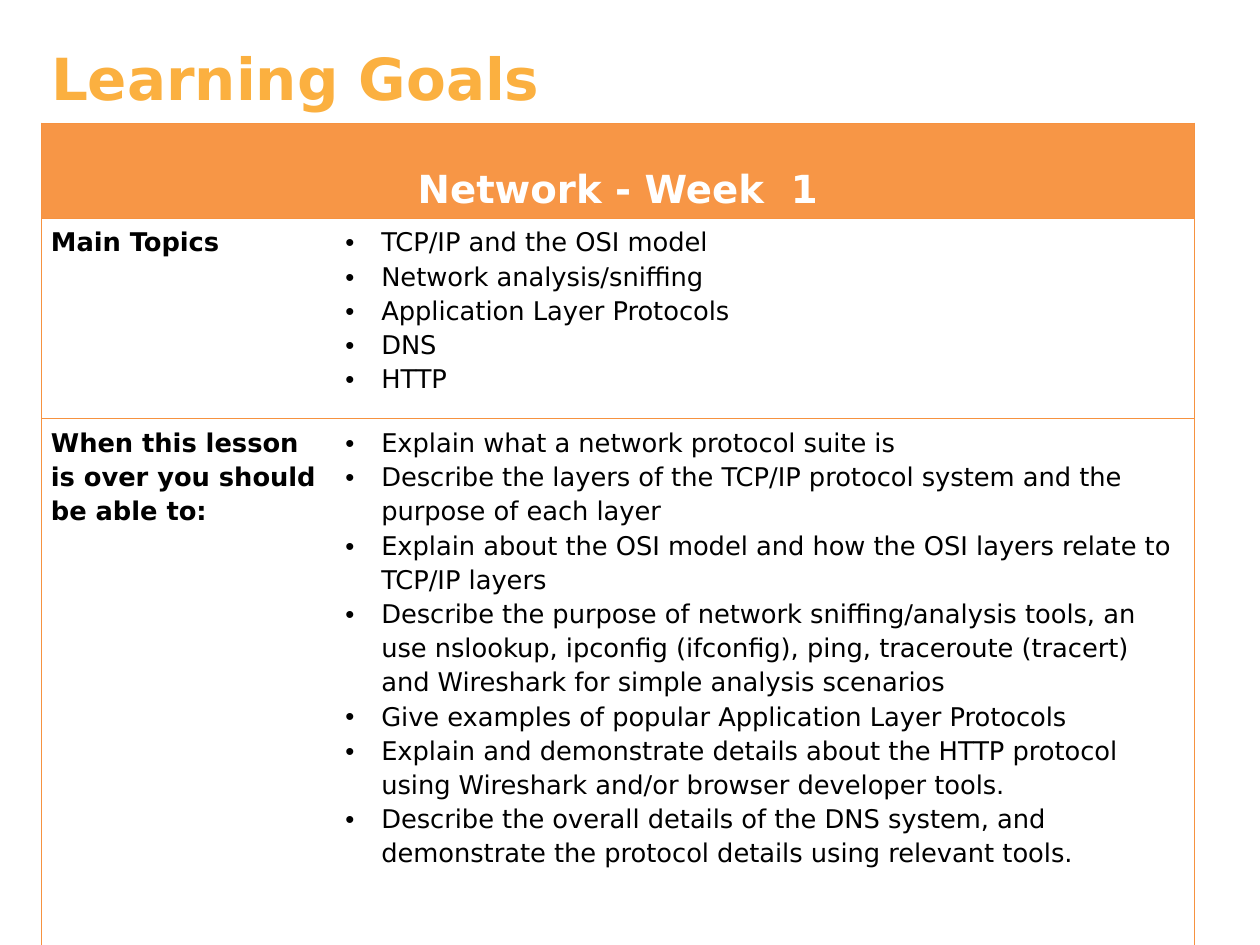
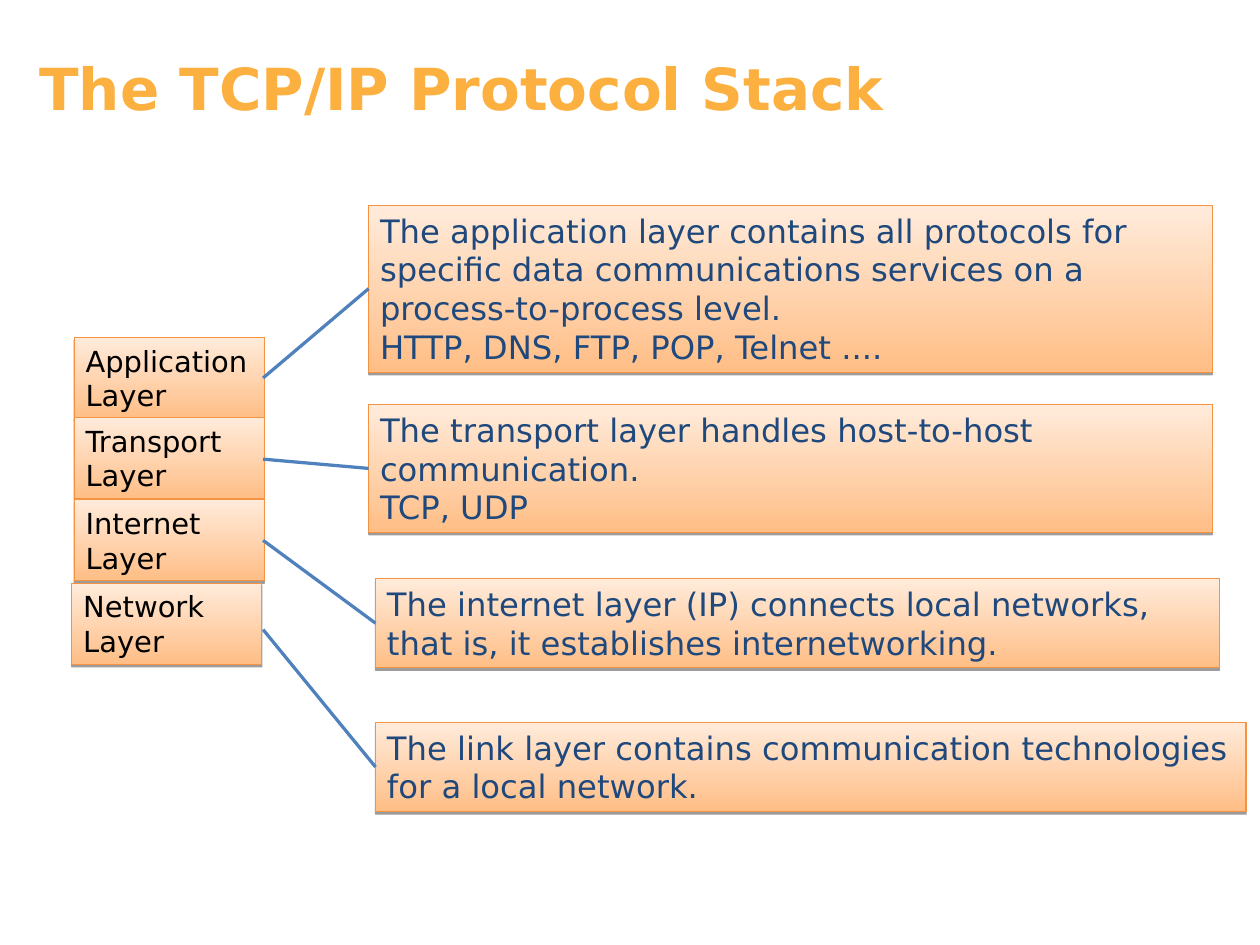
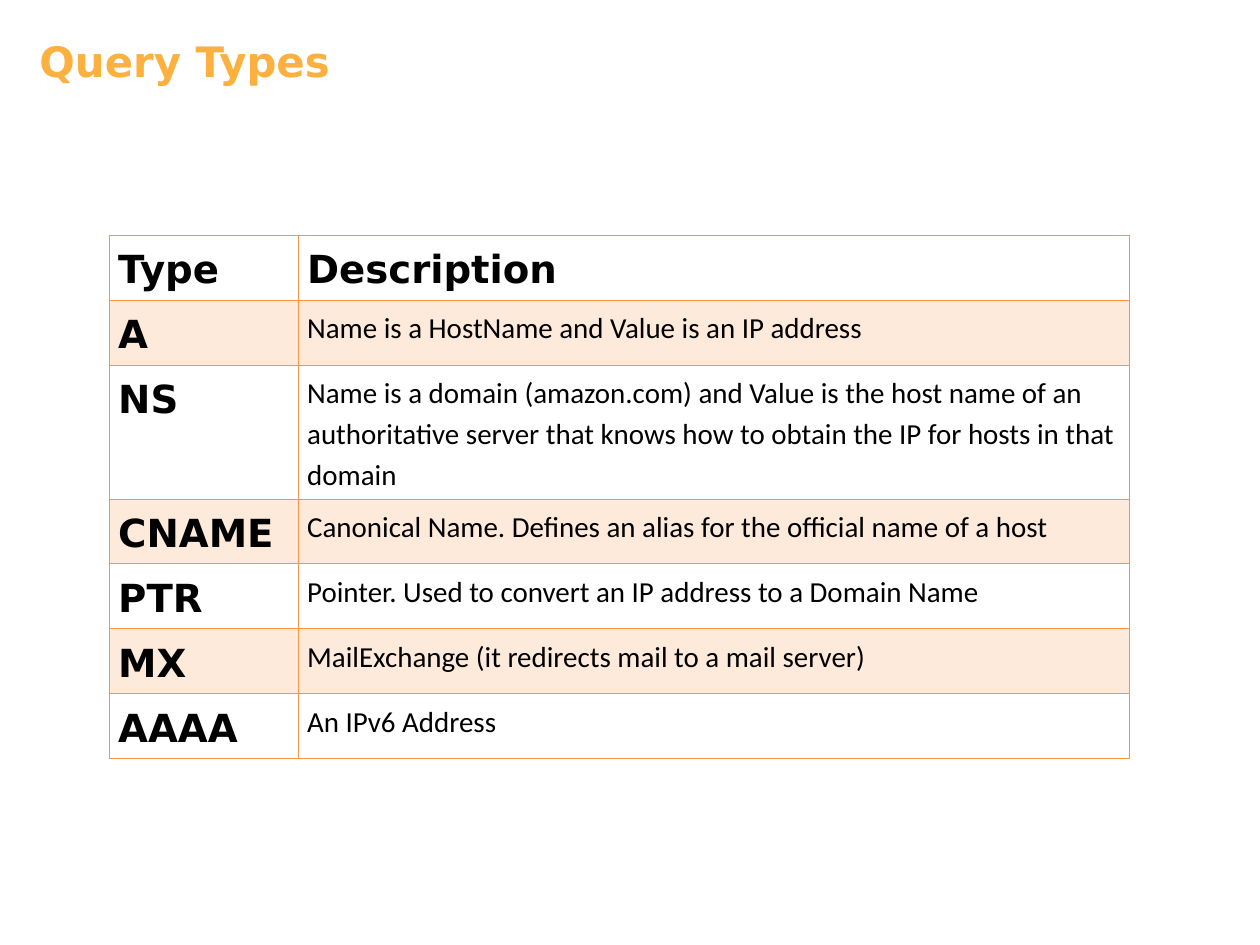
from lxml import etree
from pptx import Presentation
from pptx.dml.color import RGBColor
from pptx.enum.shapes import MSO_CONNECTOR, MSO_SHAPE
from pptx.enum.text import MSO_ANCHOR, MSO_AUTO_SIZE, PP_ALIGN
from pptx.oxml.ns import qn
from pptx.util import Inches, Pt

RECTANGLE = MSO_SHAPE.RECTANGLE
STRAIGHT = MSO_CONNECTOR.STRAIGHT
TOP, MIDDLE, BOTTOM = MSO_ANCHOR.TOP, MSO_ANCHOR.MIDDLE, MSO_ANCHOR.BOTTOM
LEFT, CENTER = PP_ALIGN.LEFT, PP_ALIGN.CENTER
NO_AUTO_SIZE = MSO_AUTO_SIZE.NONE
TITLE_ONLY = 5

COLORS = {
    "title": "FBB040",
    "header": "F79646",
    "band": "FDEADA",
    "outline": "F69240",
    "gradient_dark": "FFBE86",
    "gradient_light": "FFEBDB",
    "connector": "4F81BD",
    "description": "1F497D",
    "text": "000000",
    "white": "FFFFFF",
}
MAIN_FONT = "DejaVu Sans"
TABLE_FONT = "Calibri"

MAIN_TOPICS = [
    "TCP/IP and the OSI model",
    "Network analysis/sniffing",
    "Application Layer Protocols",
    "DNS",
    "HTTP",
]
ABILITIES = [
    "Explain what a network protocol suite is",
    "Describe the layers of the TCP/IP protocol system and the purpose of each layer",
    "Explain about the OSI model and how the OSI layers relate to TCP/IP layers",
    "Describe the purpose of network sniffing/analysis tools, an use nslookup, ipconfig (ifconfig), "
    "ping, traceroute (tracert) and Wireshark for simple analysis scenarios",
    "Give examples of popular Application Layer Protocols",
    "Explain and demonstrate details about the HTTP protocol using Wireshark and/or browser developer tools.",
    "Describe the overall details of the DNS system, and demonstrate the protocol details using relevant tools.",
]
LAYERS = [
    ("Application Layer", (0.64, 2.91, 1.64, 0.7)),
    ("Transport\nLayer", (0.64, 3.6, 1.64, 0.7)),
    ("Internet\nLayer", (0.64, 4.31, 1.64, 0.7)),
    ("Network Layer", (0.62, 5.03, 1.64, 0.7)),
]
DESCRIPTIONS = [
    ("The application layer contains all protocols for specific data communications services "
     "on a process-to-process level.\nHTTP, DNS, FTP, POP, Telnet ....", (3.18, 1.77, 7.28, 1.44), 3.26),
    ("The transport layer handles host-to-host communication.\nTCP, UDP", (3.18, 3.49, 7.28, 1.1), 3.96),
    ("The internet layer (IP) connects local networks, that is, it establishes internetworking.",
     (3.24, 4.99, 7.28, 0.77), 4.66),
    ("The link layer contains communication technologies for a local network.",
     (3.24, 6.23, 7.51, 0.77), 5.43),
]
CONNECTOR_START = 2.27
QUERY_TYPES = [
    ("Type", "Description"),
    ("A", "Name is a HostName and Value is an IP address"),
    ("NS", "Name is a domain (amazon.com) and Value is the host name of an authoritative server "
           "that knows how to obtain the IP for hosts in that domain"),
    ("CNAME", "Canonical Name. Defines an alias for the official name of a host"),
    ("PTR", "Pointer. Used to convert an IP address to a Domain Name"),
    ("MX", "MailExchange (it redirects mail to a mail server)"),
    ("AAAA", "An IPv6 Address"),
]


def color(name):
    return RGBColor.from_string(COLORS[name])


def inches(box):
    return [Inches(value) for value in box]


def write_text(text_frame, text, size, color_name="text", bold=False,
               font=MAIN_FONT, align=LEFT, line_spacing=None):
    text_frame.text = text
    for paragraph in text_frame.paragraphs:
        paragraph.alignment = align
        paragraph.line_spacing = line_spacing
        for run in paragraph.runs:
            run.font.name = font
            run.font.size = Pt(size)
            run.font.bold = bold
            run.font.color.rgb = color(color_name)


def add_titled_slide(presentation, title, box, size=36):
    slide = presentation.slides.add_slide(presentation.slide_layouts[TITLE_ONLY])
    shape = slide.shapes.title
    shape.left, shape.top, shape.width, shape.height = inches(box)
    text_frame = shape.text_frame
    text_frame.word_wrap = True
    text_frame.auto_size = NO_AUTO_SIZE
    text_frame.vertical_anchor = TOP
    write_text(text_frame, title, size, "title", bold=True)
    return slide


def add_bullets(text_frame):
    for paragraph in text_frame.paragraphs:
        properties = paragraph._p.get_or_add_pPr()
        properties.set("marL", str(Inches(0.31)))
        properties.set("indent", str(-Inches(0.31)))
        etree.SubElement(properties, qn("a:buFont"), typeface="Arial")
        etree.SubElement(properties, qn("a:buChar"), char="•")


def set_borders(cell, color_name, widths):
    properties = cell._tc.get_or_add_tcPr()
    for side, width in zip("LRTB", widths):
        line = etree.SubElement(properties, qn(f"a:ln{side}"), w=str(Pt(width)))
        if width:
            fill = etree.SubElement(line, qn("a:solidFill"))
            etree.SubElement(fill, qn("a:srgbClr"), val=COLORS[color_name])
        else:
            etree.SubElement(line, qn("a:noFill"))


def set_fill(cell, color_name):
    if color_name:
        cell.fill.solid()
        cell.fill.fore_color.rgb = color(color_name)
    else:
        cell.fill.background()


def add_plain_table(slide, left, top, widths, heights):
    box = inches((left, top, sum(widths), sum(heights)))
    table = slide.shapes.add_table(len(heights), len(widths), *box).table
    table.first_row = table.horz_banding = False
    for column, width in zip(table.columns, widths):
        column.width = Inches(width)
    for row, height in zip(table.rows, heights):
        row.height = Inches(height)
    for cell in table.iter_cells():
        cell.margin_left = cell.margin_right = Inches(0.08)
        cell.margin_top = cell.margin_bottom = Inches(0.05)
    return table


def add_goals_table(slide, left, top):
    table = add_plain_table(slide, left, top, (2.54, 7.4), (0.82, 1.73, 4.85))
    header = table.cell(0, 0)
    header.merge(table.cell(0, 1))
    header.vertical_anchor = BOTTOM
    write_text(header.text_frame, "Network - Week  1", 24, "white", True, align=CENTER, line_spacing=1.15)
    goals = [("Main Topics", MAIN_TOPICS), ("When this lesson is over you should be able to:", ABILITIES)]
    for row, (label, items) in enumerate(goals, 1):
        write_text(table.cell(row, 0).text_frame, label, 16, bold=True, line_spacing=1.15)
        text_frame = table.cell(row, 1).text_frame
        write_text(text_frame, "\n".join(items), 16, line_spacing=1.15)
        add_bullets(text_frame)
    for row in range(3):
        for column, (left_width, right_width) in enumerate([(0.34, 0), (0, 0.34)]):
            cell = table.cell(row, column)
            if row == 0:
                left_width = right_width = 0.34
            set_borders(cell, "outline", (left_width, right_width, 0.34, 0.34))
            set_fill(cell, None if row else "header")


def add_query_table(slide, left, top):
    heights = [1.13 if name == "NS" else 0.56 for name, _ in QUERY_TYPES]
    table = add_plain_table(slide, left, top, (1.63, 7.17), heights)
    for row, texts in enumerate(QUERY_TYPES):
        for column, text in enumerate(texts):
            cell = table.cell(row, column)
            if row and column:
                write_text(cell.text_frame, text, 18, font=TABLE_FONT, line_spacing=1.15)
            else:
                write_text(cell.text_frame, text, 24, bold=True, line_spacing=1.15)
            top_width = 0.96 if row == 1 else 0.45
            bottom_width = 0.96 if row == 0 else 0.45
            set_borders(cell, "header", (0.45, 0.45, top_width, bottom_width))
            set_fill(cell, "band" if row % 2 else None)


def add_shadow(shape):
    effects = etree.SubElement(shape._element.spPr, qn("a:effectLst"))
    shadow = etree.SubElement(effects, qn("a:outerShdw"), blurRad="0", dist=str(Pt(1.6)),
                              dir="5400000", rotWithShape="0")
    shade = etree.SubElement(shadow, qn("a:srgbClr"), val=COLORS["text"])
    etree.SubElement(shade, qn("a:alpha"), val="38000")


def add_gradient_box(shapes, text, box, size, color_name, anchor):
    shape = shapes.add_shape(RECTANGLE, *inches(box))
    shape.fill.gradient()
    shape.fill.gradient_angle = 90
    for stop, name in zip(shape.fill.gradient_stops, ("gradient_dark", "gradient_light")):
        stop.color.rgb = color(name)
    shape.line.color.rgb = color("outline")
    shape.line.width = Pt(0.75)
    add_shadow(shape)
    shape.text_frame.word_wrap = True
    shape.text_frame.vertical_anchor = anchor
    write_text(shape.text_frame, text, size, color_name)


def add_description(slide, text, box, start_y):
    shapes = slide.shapes.add_group_shape().shapes
    add_gradient_box(shapes, text, box, 20, "description", TOP)
    left, top, _, height = box
    ends = inches((CONNECTOR_START, start_y, left, top + height / 2))
    connector = shapes.add_connector(STRAIGHT, *ends)
    connector.line.color.rgb = color("connector")
    connector.line.width = Pt(2)
    etree.SubElement(connector._element.spPr, qn("a:effectLst"))


def build_goals_slide(presentation):
    slide = add_titled_slide(presentation, "Learning Goals", (0.34, 0.32, 8.89, 0.82))
    add_goals_table(slide, 0.36, 1.06)


def build_stack_slide(presentation):
    slide = add_titled_slide(presentation, "The TCP/IP Protocol Stack", (0.24, 0.4, 8.89, 0.82))
    for text, box in LAYERS:
        add_gradient_box(slide.shapes, text, box, 18, "text", MIDDLE)
    for description in DESCRIPTIONS:
        add_description(slide, *description)


def build_query_slide(presentation):
    slide = add_titled_slide(presentation, "Query Types", (0.24, 0.26, 8.37, 0.82), 26)
    add_query_table(slide, 0.94, 2.03)


def main():
    presentation = Presentation()
    presentation.slide_width = Inches(10.87)
    presentation.slide_height = Inches(8.15)
    build_goals_slide(presentation)
    build_stack_slide(presentation)
    build_query_slide(presentation)
    presentation.save("out.pptx")


if __name__ == "__main__":
    main()
